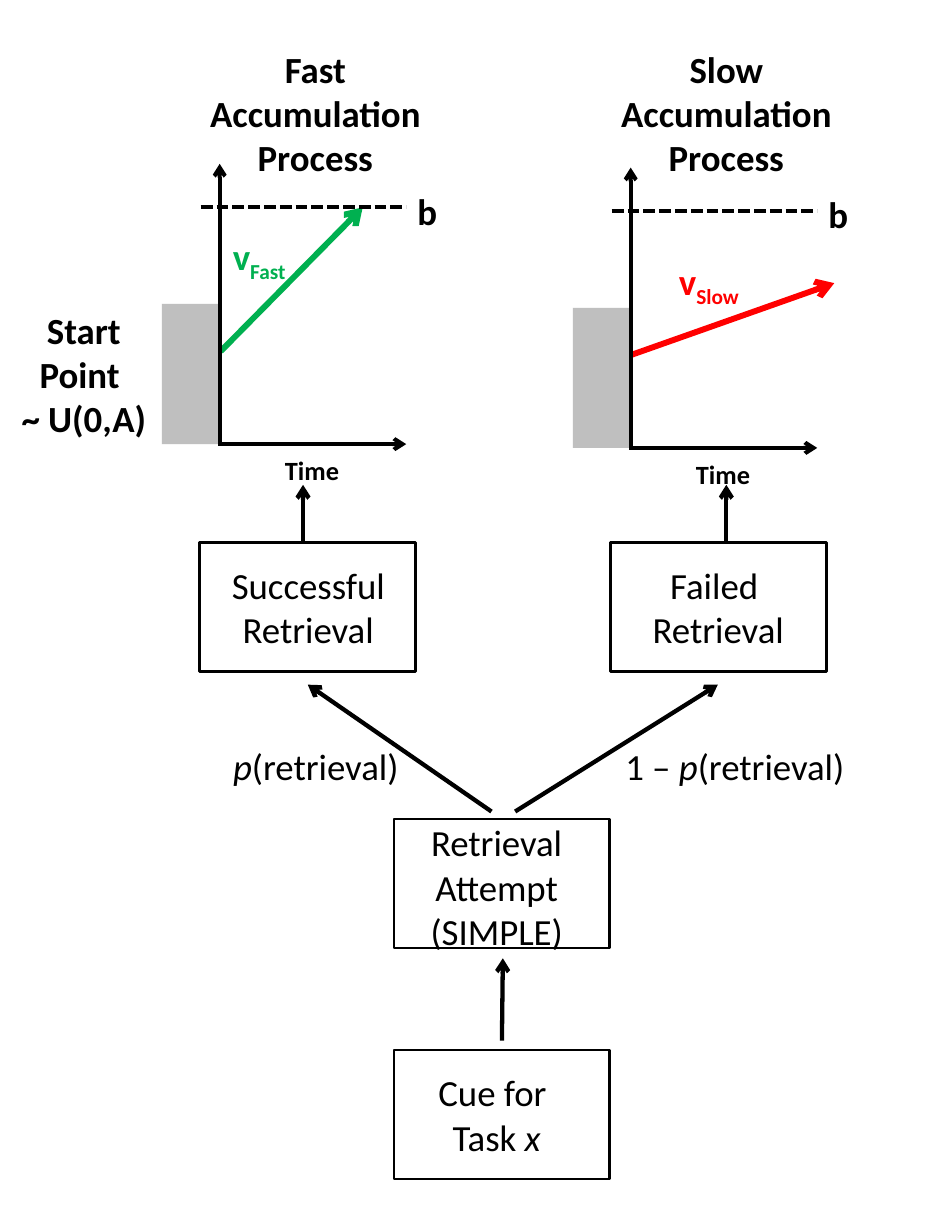
from lxml.etree import SubElement
from pptx import Presentation
from pptx.dml.color import RGBColor
from pptx.enum.dml import MSO_LINE
from pptx.enum.shapes import MSO_CONNECTOR, MSO_SHAPE
from pptx.enum.text import PP_ALIGN
from pptx.oxml.ns import qn
from pptx.util import Pt

PX = 9144
SLIDE_WIDTH, SLIDE_HEIGHT = 1000, 1301
BLACK = RGBColor(0, 0, 0)
GRAY = RGBColor(0xBF, 0xBF, 0xBF)
GREEN = RGBColor(0x00, 0xB0, 0x50)
RED = RGBColor(0xFF, 0x00, 0x00)
FONT = "Calibri"
PLAIN, ITALIC, SUBSCRIPT = "plain", "italic", "subscript"

BOX_SIZE = (228, 136)
BOXES = [(211, 573), (645, 573), (416, 865), (416, 1109)]

LABELS = [
    ((426, 1125, 197, 104), [[("Cue for ", PLAIN)], [("Task ", PLAIN), ("x", ITALIC)]]),
    ((383, 861, 283, 151), [[("Retrieval Attempt (SIMPLE)", PLAIN)]]),
    ((218, 589, 215, 104), [[("Successful", PLAIN)], [("Retrieval", PLAIN)]]),
    ((651, 589, 215, 104), [[("Failed ", PLAIN)], [("Retrieval", PLAIN)]]),
    ((235, 780, 197, 57), [[("p", ITALIC), ("(retrieval)", PLAIN)]]),
    ((646, 780, 260, 57), [[("1 –", PLAIN), (" p", ITALIC), ("(retrieval)", PLAIN)]]),
]
START_POINT = ((8, 320, 161, 151), [[("Start Point ", PLAIN)], [("~ U(0,A)", PLAIN)]])

FLOW_ARROWS = [
    ((530, 1099), (531, 1012)),
    ((519, 857), (325, 723)),
    ((544, 857), (758, 723)),
    ((320, 573), (320, 512)),
    ((767, 573), (767, 512)),
]

PANELS = [
    {"name": "Fast", "offset": (0, 0), "color": GREEN,
     "drift": ((233, 371), (383, 219)), "label": (236, 242, 85, 57)},
    {"name": "Slow", "offset": (434, 4), "color": RED,
     "drift": ((666, 375), (881, 299)), "label": (707, 268, 91, 57)},
]


def add_rectangle(slide, left, top, width, height, fill=None, line=None):
    shape = slide.shapes.add_shape(
        MSO_SHAPE.RECTANGLE, left * PX, top * PX, width * PX, height * PX)
    shape.shadow.inherit = False
    if fill is None:
        shape.fill.background()
    else:
        shape.fill.solid()
        shape.fill.fore_color.rgb = fill
    if line is None:
        shape.line.fill.background()
    else:
        shape.line.color.rgb = line
        shape.line.width = Pt(2)


def add_line(slide, start, end, weight, color=BLACK, dashed=False):
    connector = slide.shapes.add_connector(
        MSO_CONNECTOR.STRAIGHT, *(value * PX for value in (*start, *end)))
    connector.line.color.rgb = color
    connector.line.width = Pt(weight)
    if dashed:
        connector.line.dash_style = MSO_LINE.SQUARE_DOT
    else:
        outline = connector.line._get_or_add_ln()
        SubElement(outline, qn("a:tailEnd"), type="arrow")
    SubElement(connector._element.spPr, qn("a:effectLst"))


def add_text(slide, place, paragraphs, size=28, bold=False, color=BLACK,
             align=PP_ALIGN.CENTER, wrap=True):
    frame = slide.shapes.add_textbox(*(value * PX for value in place)).text_frame
    frame.word_wrap = wrap
    for index, pieces in enumerate(paragraphs):
        paragraph = frame.add_paragraph() if index else frame.paragraphs[0]
        paragraph.alignment = align
        font = paragraph.font
        font.name, font.size, font.bold = FONT, Pt(size), bold
        font.color.rgb = color
        for text, style in pieces:
            run = paragraph.add_run()
            run.text = text
            if style == ITALIC:
                run.font.italic = True
            elif style == SUBSCRIPT:
                run._r.get_or_add_rPr().set("baseline", "-25000")


def add_panel(slide, panel):
    dx, dy = panel["offset"]
    name, color = panel["name"], panel["color"]
    add_line(slide, *panel["drift"], 4.5, color)
    add_line(slide, (232 + dx, 469 + dy), (232 + dx, 173 + dy), 3)
    add_line(slide, (230 + dx, 469 + dy), (429 + dx, 469 + dy), 3)
    add_rectangle(slide, 171 + dx, 321 + dy, 59, 148, fill=GRAY)
    add_line(slide, (212 + dx, 219 + dy), (429 + dx, 219 + dy), 3, dashed=True)
    add_text(slide, (211 + dx, 44, 244, 151),
             [[(f"{name} Accumulation Process", PLAIN)]], bold=True)
    add_text(slide, (431 + dx, 194 + dy, 33, 48), [[("b", PLAIN)]],
             bold=True, align=PP_ALIGN.LEFT, wrap=False)
    add_text(slide, (277 + dx, 475 + dy, 105, 37), [[("Time", PLAIN)]], size=20, bold=True)
    add_text(slide, panel["label"], [[("v", PLAIN), (name, SUBSCRIPT)]],
             bold=True, color=color, align=PP_ALIGN.LEFT, wrap=False)


def main():
    presentation = Presentation()
    presentation.slide_width = SLIDE_WIDTH * PX
    presentation.slide_height = SLIDE_HEIGHT * PX
    slide = presentation.slides.add_slide(presentation.slide_layouts[6])
    for left, top in BOXES:
        add_rectangle(slide, left, top, *BOX_SIZE, line=BLACK)
    for place, paragraphs in LABELS:
        add_text(slide, place, paragraphs)
    add_text(slide, *START_POINT, bold=True)
    for panel in PANELS:
        add_panel(slide, panel)
    for start, end in FLOW_ARROWS:
        add_line(slide, start, end, 3.25)
    presentation.save("out.pptx")


if __name__ == "__main__":
    main()
